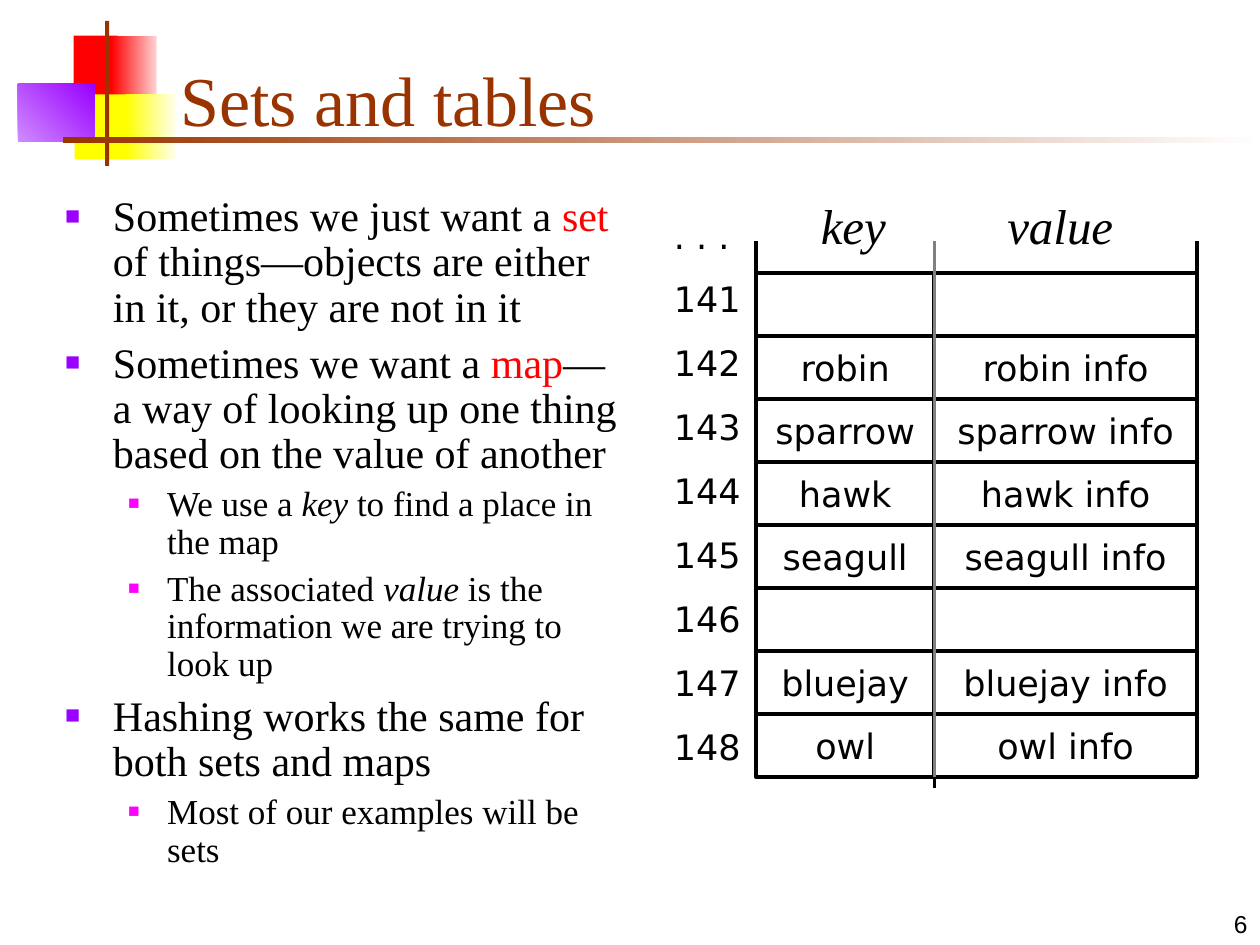
from lxml import etree
from pptx import Presentation
from pptx.dml.color import RGBColor
from pptx.enum.shapes import MSO_CONNECTOR, MSO_SHAPE
from pptx.enum.text import MSO_ANCHOR, MSO_AUTO_SIZE, PP_ALIGN
from pptx.oxml.ns import qn
from pptx.util import Inches, Pt

RECT, CELL = MSO_SHAPE.RECTANGLE, MSO_SHAPE.FLOWCHART_PROCESS
LINE = MSO_CONNECTOR.STRAIGHT
LEFT, MID, RIGHT = PP_ALIGN.LEFT, PP_ALIGN.CENTER, PP_ALIGN.RIGHT
CENTRE, LOW = MSO_ANCHOR.MIDDLE, MSO_ANCHOR.BOTTOM
FIXED, GROW = MSO_AUTO_SIZE.NONE, MSO_AUTO_SIZE.SHAPE_TO_FIT_TEXT

THEME = {
    "ink": "000000", "brown": "993300", "red": "FF0000", "pink": "FFD1D1",
    "yellow": "FFFF00", "cream": "FFFFF0", "lilac": "D18BFF",
    "purple": "9900FF", "magenta": "FF00FF", "grey": "808080", "white": "FFFFFF",
    "serif": "Times New Roman", "sans": "DejaVu Sans", "plain": "Arial",
    "title": 40, "head": 28, "body": 24, "sub": 20, "cell": 20, "page": 14,
    "rule": 2.25,
}


def hue(name):
    return RGBColor.from_string(THEME[name])


def write(para, text, size, face="serif", tint="ink", italic=False):
    """Add one formatted run to a paragraph."""
    run = para.add_run()
    run.text = text
    look = {"size": Pt(THEME[size]), "name": THEME[face], "italic": italic}
    for key, val in look.items():
        setattr(run.font, key, val)
    run.font.color.rgb = hue(tint)


deck = Presentation()
deck.slide_width, deck.slide_height = Inches(10), Inches(7.5)
UNIT = deck.slide_width / 120  # the slide is a grid of 120 columns by 90 rows
page = deck.slides.add_slide(deck.slide_layouts[1])
shapes = page.shapes
title, body = shapes.title, page.placeholders[1]

# Corner blocks and title rule: box in grid units, colours, gradient angle
decor = [
    ((7, 3.4, 4.2, 6.2), ["red"], 0),
    ((10.6, 3.4, 4.3, 6.2), ["red", "pink"], 0),
    ((7.1, 9, 5.5, 6.2), ["yellow"], 0),
    ((12, 9, 4.8, 6.2), ["yellow", "cream"], 0),
    ((1.7, 8, 7.3, 5.5), ["lilac", "purple"], 45),
    ((10, 2, 0.4, 13.8), ["brown"], 0),
    ((6, 13, 114, 0.6), ["brown", "white"], 0),
]
for box, tints, angle in decor:
    block = shapes.add_shape(RECT, *(int(n * UNIT) for n in box))
    block.shadow.inherit = False
    block.line.fill.background()
    if len(tints) == 1:
        block.fill.solid()
        block.fill.fore_color.rgb = hue(tints[0])
        continue
    block.fill.gradient()
    block.fill.gradient_angle = angle
    for stop, tint in zip(block.fill.gradient_stops, tints):
        stop.color.rgb = hue(tint)

# Text frames, in front of the blocks
pageno = shapes.add_textbox(0, 0, 0, 0)
index = shapes.add_textbox(0, 0, 0, 0)
heads = shapes.add_textbox(0, 0, 0, 0)
frames = [
    (title, (16, 3, 102.2, 11), LOW, FIXED),
    (body, (5, 18, 55, 66), None, FIXED),
    (pageno, (95, 84, 25, 6), LOW, FIXED),
    (index, (63, 19.8, 9, 60), None, GROW),
    (heads, (77, 18, 37, 6.8), None, GROW),
]
for item, box, anchor, fit in frames:
    for side, n in zip(("left", "top", "width", "height"), box):
        setattr(item, side, int(n * UNIT))
    look = {"word_wrap": True, "auto_size": fit, "vertical_anchor": anchor}
    for key, val in look.items():
        setattr(item.text_frame, key, val)
for item in (title, body):
    shapes._spTree.append(item._element)

para = title.text_frame.paragraphs[0]
para.alignment = LEFT
write(para, "Sets and tables", "title", tint="brown")

para = pageno.text_frame.paragraphs[0]
para.alignment = RIGHT
write(para, "6", "page", "plain")

# Bulleted list: level, then text before, marked word, text after
RED, SLANT = {"tint": "red"}, {"italic": True}
points = [
    (0, "Sometimes we just want a ", "set",
     " of things—objects are either in it, or they are not in it"),
    (0, "Sometimes we want a ", "map",
     "—a way of looking up one thing based on the value of another"),
    (1, "We use a ", "key", " to find a place in the map"),
    (1, "The associated ", "value", " is the information we are trying to look up"),
    (0, "Hashing works the same for both sets and maps", "", ""),
    (1, "Most of our examples will be sets", "", ""),
]
levels = [
    {"size": "body", "mark": RED, "gap": 6, "left": 0.38, "hang": 0.38,
     "dot": "purple", "share": 60},
    {"size": "sub", "mark": SLANT, "gap": 5, "left": 0.81, "hang": 0.31,
     "dot": "magenta", "share": 55},
]
for i, (depth, before, word, after) in enumerate(points):
    frame, level = body.text_frame, levels[depth]
    para = frame.add_paragraph() if i else frame.paragraphs[0]
    look = {"level": depth, "line_spacing": 0.9, "space_before": Pt(level["gap"])}
    for key, val in look.items():
        setattr(para, key, val)
    props = para._p.get_or_add_pPr()
    props.set("marL", str(Inches(level["left"])))
    props.set("indent", str(-Inches(level["hang"])))
    shade = etree.SubElement(props, qn("a:buClr"))
    etree.SubElement(shade, qn("a:srgbClr"), val=THEME[level["dot"]])
    etree.SubElement(props, qn("a:buSzPct"), val=str(level["share"] * 1000))
    etree.SubElement(props, qn("a:buFont"), typeface=THEME["plain"])
    etree.SubElement(props, qn("a:buChar"), char="■")
    for text, mark in ((before, {}), (word, level["mark"]), (after, {})):
        if text:
            write(para, text, level["size"], **mark)

# Row numbers and column heads of the hash table
birds = ["", "robin", "sparrow", "hawk", "seagull", "", "bluejay", "owl"]
labels = [". . ."] + [str(141 + i) for i in range(len(birds))]
for i, label in enumerate(labels):
    frame = index.text_frame
    para = frame.add_paragraph() if i else frame.paragraphs[0]
    para.space_before = Pt(12.5)
    write(para, label, "cell", "sans")

para = heads.text_frame.paragraphs[0]
para.space_before = Pt(17.5)
tabs = etree.SubElement(para._p.get_or_add_pPr(), qn("a:tabLst"))
etree.SubElement(tabs, qn("a:tab"), pos=str(Inches(1.48)), algn="l")
write(para, "key\tvalue", "head", italic=True)

# Cells and upright rules of the hash table
TOP, ROW = 26, 6
for col, wide, tail in ((72, 17, ""), (89, 25, " info")):
    for i, bird in enumerate(birds):
        box = (col, TOP + i * ROW, wide, ROW)
        cell = shapes.add_shape(CELL, *(int(n * UNIT) for n in box))
        cell.shadow.inherit = False
        cell.fill.background()
        cell.line.color.rgb = hue("ink")
        cell.line.width = Pt(THEME["rule"])
        if bird:
            frame = cell.text_frame
            frame.word_wrap, frame.vertical_anchor = False, CENTRE
            frame.paragraphs[0].alignment = MID
            write(frame.paragraphs[0], bird + tail, "cell", "sans")

END = TOP + len(birds) * ROW
rules = [(72, END, 23, "ink"), (89, END + 1, 24, "ink"),
         (89, END, 23, "grey"), (114, END, 23, "ink")]
for col, foot, head, tint in rules:
    ends = (col, foot, col, head)
    rule = shapes.add_connector(LINE, *(int(n * UNIT) for n in ends))
    rule.line.color.rgb = hue(tint)
    rule.line.width = Pt(THEME["rule"])
    etree.SubElement(rule._element.spPr, qn("a:effectLst"))

deck.save("out.pptx")
